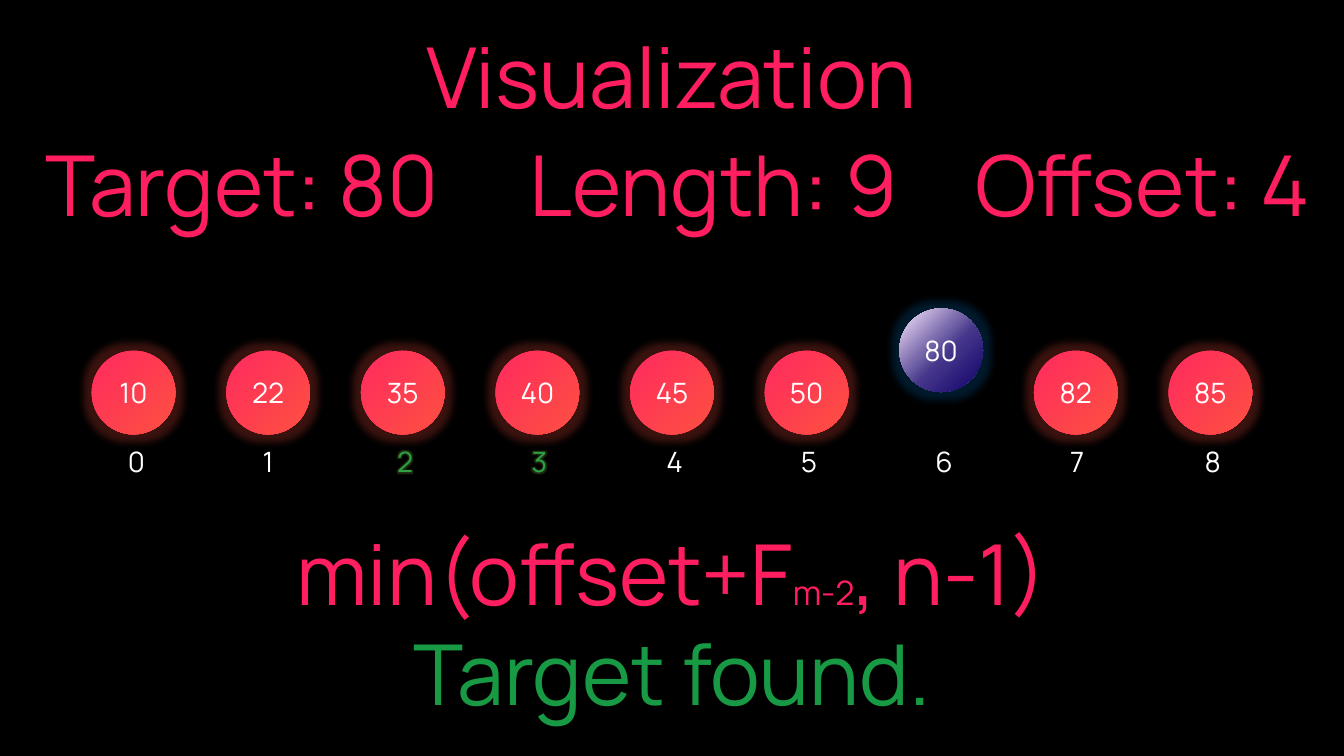
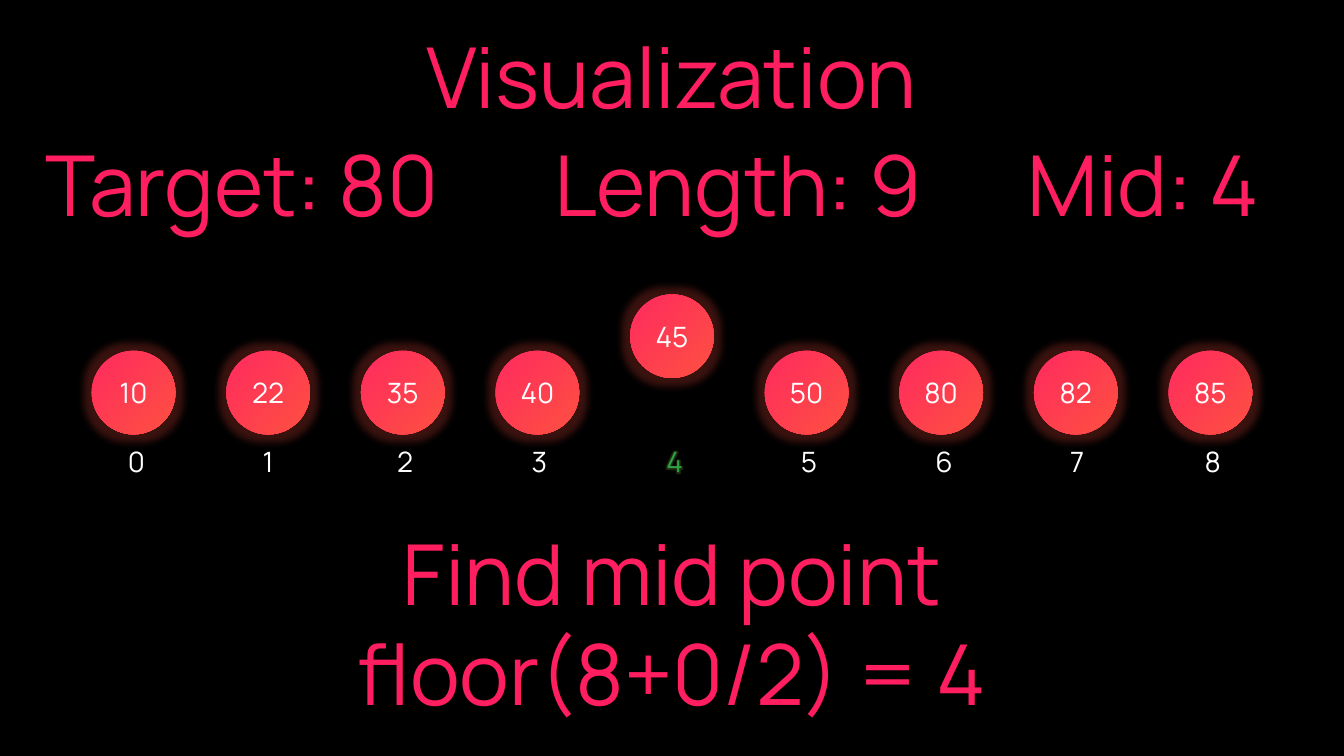
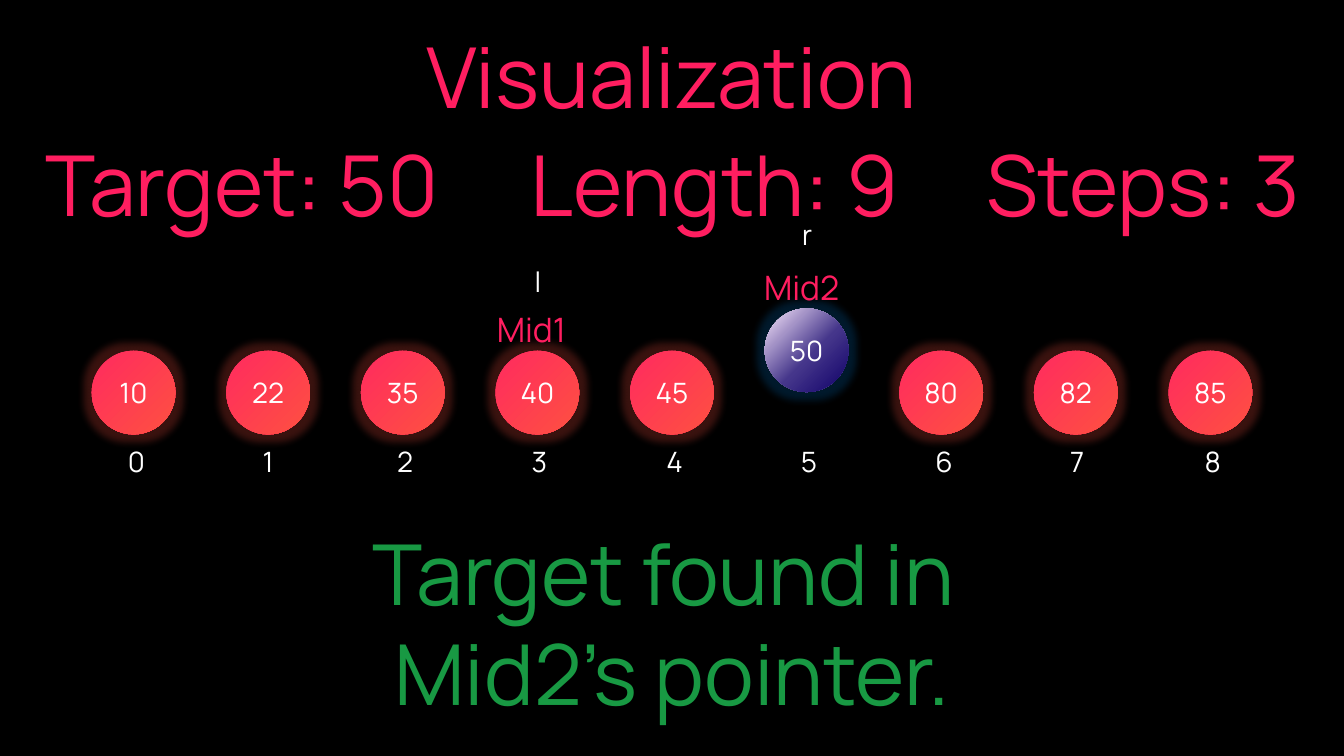
from copy import deepcopy
from dataclasses import dataclass

from lxml import etree
from pptx import Presentation
from pptx.dml.color import RGBColor
from pptx.enum.shapes import MSO_SHAPE
from pptx.enum.text import MSO_ANCHOR, MSO_AUTO_SIZE, PP_ALIGN
from pptx.oxml.ns import qn
from pptx.util import Inches, Pt

ELLIPSE = MSO_SHAPE.OVAL
LEFT, CENTER = PP_ALIGN.LEFT, PP_ALIGN.CENTER
TOP, MIDDLE = MSO_ANCHOR.TOP, MSO_ANCHOR.MIDDLE
FIT_SHAPE, NO_FIT = MSO_AUTO_SIZE.SHAPE_TO_FIT_TEXT, MSO_AUTO_SIZE.NONE


@dataclass(frozen=True)
class Theme:
    font: str = "Manrope"
    background: str = "000000"
    white: str = "FFFFFF"
    pink: str = "FF1E60"
    green: str = "189943"
    index_green: str = "2EA345"
    ball: tuple = ((0, "FF2A5F"), (1, "FE5141"))
    found_ball: tuple = ((0, "FCEAFF"), (0.56, "45368B"), (1, "0F0068"))
    ball_glow: str = "FE5141"
    found_glow: str = "0070C0"
    index_glow: str = "92D050"
    headline: int = 60
    label: int = 24
    number: int = 20


T = Theme()

WIDTH, HEIGHT = 13.33, 7.5
VALUES = [10, 22, 35, 40, 45, 50, 80, 82, 85]
BALL_LEFT, BALL_TOP, BALL_SIZE = 0.91, 3.48, 0.83
BALL_PITCH = (11.59 - BALL_LEFT) / (len(VALUES) - 1)
INDEX_INSET, INDEX_TOP = 0.26, 4.36
SMALL_BOX = (0.31, 0.44)

# stats: text, left, width; caption: lines of (text, size, colour) runs;
# labels: text, left, top, width, height, size, colour, alignment
SLIDES = [
    dict(
        stats=[("Target: 80", 0.14, 4.52), ("Length: 9", 5.05, 4.06),
               ("Offset: 4", 9.47, 3.73)],
        raised={6: 3.06}, found=6, green_indexes=(2, 3), labels=[],
        caption_width=8.63,
        caption=[[("min(offset+F", T.headline, T.pink), ("m-2", T.label, T.pink),
                  (", n-1)", T.headline, T.pink)],
                 [("Target found.", T.headline, T.green)]],
    ),
    dict(
        stats=[("Target: 80", 0.14, 4.52), ("Length: 9", 5.29, 4.06),
               ("Mid: 4", 9.97, 2.74)],
        raised={4: 2.92}, found=None, green_indexes=(4,), labels=[],
        caption_width=7.08,
        caption=[[("Find mid point", T.headline, T.pink)],
                 [("floor(8+0/2) = 4", T.headline, T.pink)]],
    ),
    dict(
        stats=[("Target: 50", 0.14, 4.52), ("Length: 9", 5.06, 4.06),
               ("Steps: 3", 9.58, 3.51)],
        raised={5: 3.06}, found=5, green_indexes=(),
        labels=[("l", 5.18, 2.58, *SMALL_BOX, T.number, T.white, CENTER),
                ("r", 7.85, 2.11, *SMALL_BOX, T.number, T.white, CENTER),
                ("Mid1", 4.83, 3.02, 0.95, 0.5, T.label, T.pink, LEFT),
                ("Mid2", 7.48, 2.6, 1.05, 0.5, T.label, T.pink, LEFT)],
        caption_width=6.91,
        caption=[[("Target found in ", T.headline, T.green)],
                 [("Mid2’s pointer.", T.headline, T.green)]],
    ),
]


def add_glow(effects, color, radius):
    glow = etree.SubElement(effects, qn("a:glow"), rad=str(Inches(radius)))
    rgb = etree.SubElement(glow, qn("a:srgbClr"), val=color)
    etree.SubElement(rgb, qn("a:alpha"), val="23000")


def write(shape, text, *, size=T.headline, color=T.pink, align=CENTER, wrap=False,
          anchor=TOP, fit=FIT_SHAPE, glow=None, new_line=False):
    """Add a run to the last paragraph of the shape, or to a new one."""
    tf = shape.text_frame
    tf.word_wrap, tf.vertical_anchor, tf.auto_size = wrap, anchor, fit
    p = tf.add_paragraph() if new_line else tf.paragraphs[-1]
    p.alignment = align
    r = p.add_run()
    r.text = text
    r.font.size = Pt(size)
    r.font.color.rgb = RGBColor.from_string(color)
    if glow:
        effects = etree.SubElement(r.font._element, qn("a:effectLst"))
        add_glow(effects, glow, 0.07)
    r.font.name = T.font


prs = Presentation()
prs.slide_width, prs.slide_height = Inches(WIDTH), Inches(HEIGHT)
background = prs.slide_master.background.fill
background.solid()
background.fore_color.rgb = RGBColor.from_string(T.background)

layout = prs.slide_layouts.get_by_name("Title Only")
title = layout.placeholders[0]
title.left, title.top = Inches(3.81), Inches(0.19)
title.width, title.height = Inches(5.71), Inches(1.11)

for content in SLIDES:
    s = prs.slides.add_slide(layout)
    write(s.shapes.title, "Visualization", fit=NO_FIT)

    for text, left, width in content["stats"]:
        sp = s.shapes.add_textbox(Inches(left), Inches(1.27), Inches(width), Inches(1.11))
        write(sp, text)

    for i, value in enumerate(VALUES):
        left = BALL_LEFT + i * BALL_PITCH
        top = content["raised"].get(i, BALL_TOP)
        found = i == content["found"]
        ball = s.shapes.add_shape(ELLIPSE, Inches(left), Inches(top),
                                  Inches(BALL_SIZE), Inches(BALL_SIZE))
        ball.line.fill.background()
        ball.shadow.inherit = False
        spPr = ball._element.spPr
        add_glow(spPr.find(qn("a:effectLst")), T.found_glow if found else T.ball_glow, 0.15)

        stops = T.found_ball if found else T.ball
        ball.fill.gradient()
        ball.fill.gradient_angle = 315
        stop_list = spPr.find(f".//{qn('a:gsLst')}")
        while len(stop_list) < len(stops):
            stop_list.append(deepcopy(stop_list[0]))
        for stop, (position, color) in zip(ball.fill.gradient_stops, stops):
            stop.position = position
            stop.color.rgb = RGBColor.from_string(color)
        write(ball, str(value), size=T.number, color=T.white, wrap=True,
              anchor=MIDDLE, fit=NO_FIT)

        green = i in content["green_indexes"]
        index = s.shapes.add_textbox(Inches(left + INDEX_INSET), Inches(INDEX_TOP),
                                     *map(Inches, SMALL_BOX))
        write(index, str(i), size=T.number, wrap=True,
              color=T.index_green if green else T.white,
              glow=T.index_glow if green else None)

    for text, left, top, width, height, size, color, align in content["labels"]:
        sp = s.shapes.add_textbox(Inches(left), Inches(top), Inches(width), Inches(height))
        write(sp, text, size=size, color=color, align=align, wrap=True)

    width = content["caption_width"]
    caption = s.shapes.add_textbox(Inches((WIDTH - width) / 2), Inches(5.12),
                                   Inches(width), Inches(2.12))
    for line_number, line in enumerate(content["caption"]):
        for run_number, (text, size, color) in enumerate(line):
            write(caption, text, size=size, color=color,
                  new_line=line_number > 0 and run_number == 0)

prs.save("out.pptx")
